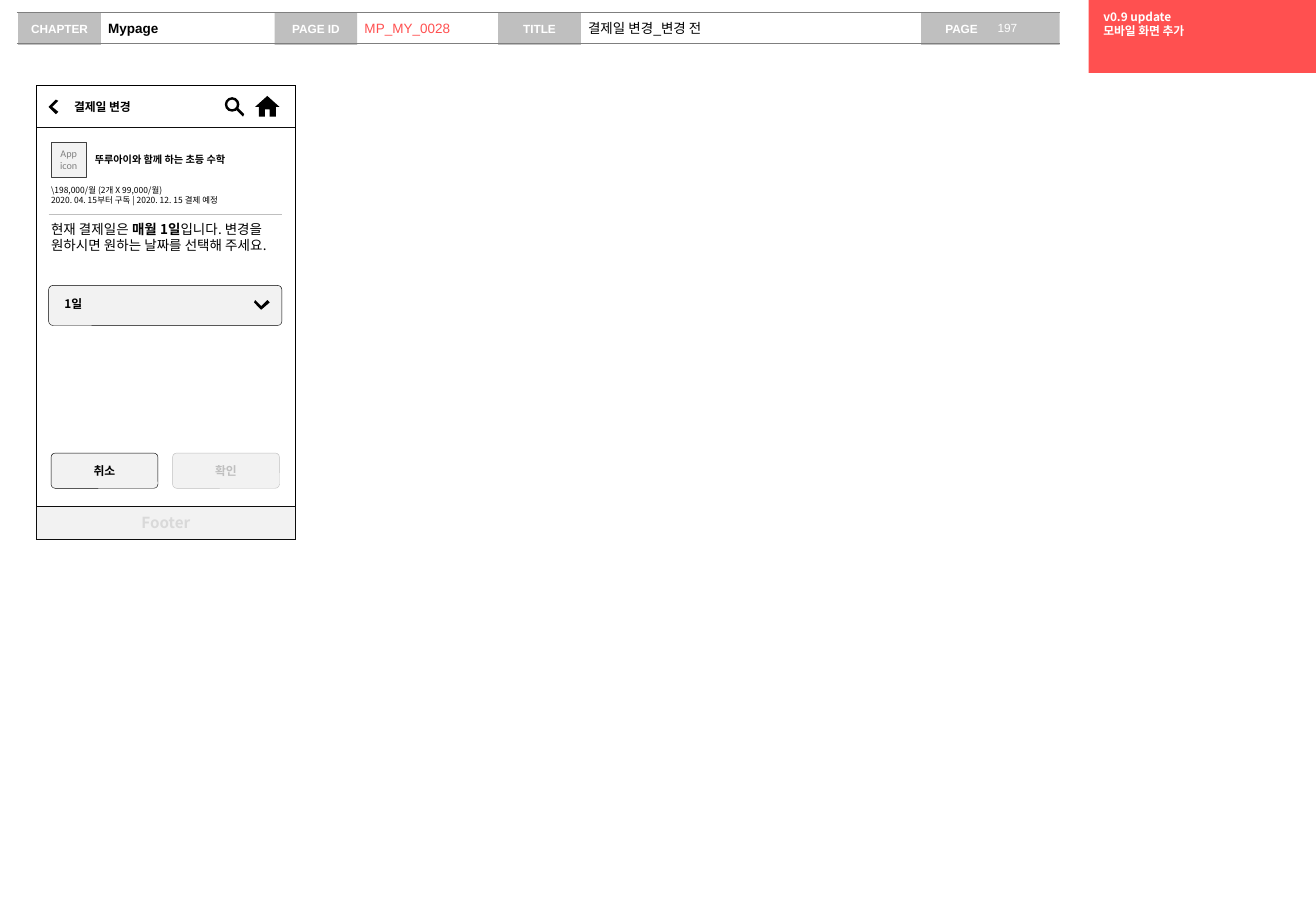
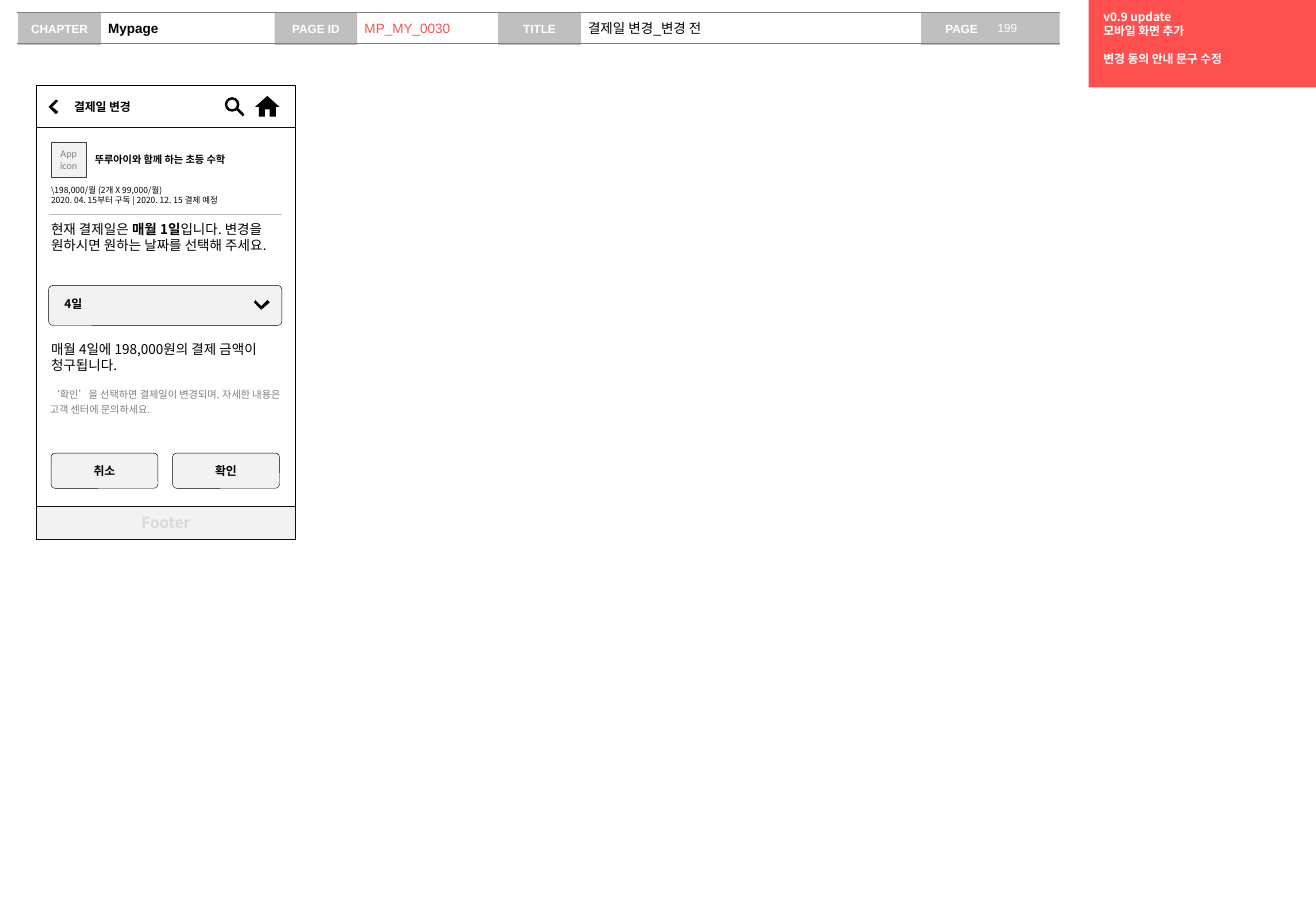
from lxml.etree import SubElement
from pptx import Presentation
from pptx.dml.color import RGBColor
from pptx.enum.shapes import MSO_CONNECTOR, MSO_SHAPE as Preset
from pptx.enum.text import MSO_ANCHOR as Anchor, PP_ALIGN as Align
from pptx.oxml.ns import qn
from pptx.util import Inches, Pt

BLACK = RGBColor(0x00, 0x00, 0x00)
WHITE = RGBColor(0xFF, 0xFF, 0xFF)
RED = RGBColor(0xFF, 0x50, 0x50)
INK = RGBColor(0x0D, 0x0D, 0x0D)
CHARCOAL = RGBColor(0x40, 0x40, 0x40)
GRAY = RGBColor(0x80, 0x80, 0x80)
RULE_GRAY = RGBColor(0x7F, 0x7F, 0x7F)
SILVER = RGBColor(0xBF, 0xBF, 0xBF)
FOOTER_GRAY = RGBColor(0xD9, 0xD9, 0xD9)
PALE = RGBColor(0xF2, 0xF2, 0xF2)

KOREAN_FONT = "Noto Sans CJK KR"
LATIN_FONT = "Arial"

# Lengths in inches
BAR_TOP, BAR_HEIGHT = 0.1, 0.27
LABEL_WIDTH = 0.68
BAR_LABELS = [("CHAPTER", 0.15), ("PAGE ID", 2.26), ("TITLE", 4.1)]
PHONE_LEFT, PHONE_TOP, PHONE_WIDTH, PHONE_HEIGHT = 0.3, 0.7, 2.13, 3.74
TEXT_LEFT, TEXT_WIDTH = 0.42, 1.88
FIELD_LEFT, FIELD_WIDTH = 0.4, 1.92
BUTTON_TOP, BUTTON_WIDTH, BUTTON_HEIGHT, BUTTON_STEP = 3.73, 0.88, 0.29, 1.0

BACK_ARROW = [(0.48, 0.83), (0.46, 0.82), (0.4, 0.88), (0.46, 0.94), (0.48, 0.92), (0.43, 0.88)]
HOME = [(2.18, 0.96), (2.18, 0.9), (2.22, 0.9), (2.22, 0.96), (2.27, 0.96), (2.27, 0.88),
        (2.3, 0.88), (2.2, 0.79), (2.1, 0.88), (2.13, 0.88), (2.13, 0.96)]
SEARCH_HANDLE = [(1.94, 0.9), (1.95, 0.91), (2.0, 0.96), (2.01, 0.94), (1.97, 0.9), (1.96, 0.89)]
DROPDOWN_ARROW = [(2.1, 2.47), (2.09, 2.49), (2.15, 2.55), (2.22, 2.49), (2.2, 2.47), (2.15, 2.52)]
ICONS = [BACK_ARROW, HOME, SEARCH_HANDLE, DROPDOWN_ARROW]

CHAPTER = "Mypage"
TITLE = "결제일 변경_변경 전"
SCREEN_NAME = "결제일 변경"
APP_NAME = "뚜루아이와 함께 하는 초등 수학"
SUBSCRIPTION = ["\\198,000/월 (2개 X 99,000/월)",
                "2020. 04. 15부터 구독 | 2020. 12. 15 결제 예정"]
GUIDE = [("현재 결제일은 ", False), ("매월 1일", True),
         ("입니다. 변경을 원하시면 원하는 날짜를 선택해 주세요.", False)]
UPDATE = ["v0.9 update", "모바일 화면 추가"]

SCREENS = [
    {"page_id": "MP_MY_0028", "page": "197", "day": "1일", "update_height": 0.6,
     "extra_update": None, "charge": None, "notice": None, "confirm_color": SILVER},
    {"page_id": "MP_MY_0030", "page": "199", "day": "4일", "update_height": 0.72,
     "extra_update": "변경 동의 안내 문구 수정",
     "charge": "매월 4일에 198,000원의 결제 금액이 청구됩니다.",
     "notice": "‘확인’을 선택하면 결제일이 변경되며, 자세한 내용은 고객 센터에 문의하세요.",
     "confirm_color": BLACK},
]


def write(shape, paragraphs, size=7, font=KOREAN_FONT, color=BLACK, bold=False,
          align=Align.LEFT, anchor=Anchor.TOP, insets=(0, 0, 0, 0), wrap=True, spacing=None):
    """Fill a shape with paragraphs, each a string or a list of (text, bold) runs."""
    frame = shape.text_frame
    frame.word_wrap, frame.vertical_anchor = wrap, anchor
    (frame.margin_left, frame.margin_top,
     frame.margin_right, frame.margin_bottom) = map(Inches, insets)
    for index, content in enumerate(paragraphs):
        paragraph = frame.add_paragraph() if index else frame.paragraphs[0]
        paragraph.alignment = align
        if spacing:
            paragraph.line_spacing = spacing
        runs = [(content, bold)] if isinstance(content, str) else content
        for text, run_bold in runs:
            run = paragraph.add_run()
            run.text = text
            run.font.size, run.font.name, run.font.bold = Pt(size), font, run_bold
            run.font.color.rgb = color
            SubElement(run.font._element, qn("a:ea"), typeface=KOREAN_FONT)
    return frame


def paint(shape, fill, line=None):
    shape.shadow.inherit = False
    if fill is None:
        shape.fill.background()
    else:
        shape.fill.solid()
        shape.fill.fore_color.rgb = fill
    if line is None:
        shape.line.fill.background()
    else:
        shape.line.color.rgb = line
        shape.line.width = Pt(0.25)
    return shape


def add_box(slide, box, fill, line=None, preset=Preset.RECTANGLE, adjustment=None):
    shape = slide.shapes.add_shape(preset, *map(Inches, box))
    if adjustment is not None:
        shape.adjustments[0] = adjustment
    return paint(shape, fill, line)


def add_label(slide, box, paragraphs, **text_format):
    return write(slide.shapes.add_textbox(*map(Inches, box)), paragraphs, **text_format)


def add_rule(slide, left, right, top, color, width):
    rule = slide.shapes.add_connector(
        MSO_CONNECTOR.STRAIGHT, *map(Inches, (left, top, right, top)))
    rule.line.color.rgb, rule.line.width = color, Pt(width)
    SubElement(rule._element.spPr, qn("a:effectLst"))


def add_icon(slide, points):
    points = [(Inches(x), Inches(y)) for x, y in points]
    builder = slide.shapes.build_freeform(*points[0], scale=1.0)
    builder.add_line_segments(points[1:], close=True)
    paint(builder.convert_to_shape(), BLACK)


def add_title_bar(slide, screen):
    label_format = dict(font=LATIN_FONT, color=WHITE, bold=True, anchor=Anchor.MIDDLE, wrap=False)
    page_box = add_box(slide, (7.58, BAR_TOP, 1.14, BAR_HEIGHT), SILVER)
    write(page_box, ["PAGE"], insets=(0.2, 0.05, 0.1, 0.05), **label_format)
    add_label(slide, (8.17, 0.12, 0.55, 0.22), [screen["page"]], font=LATIN_FONT,
              color=WHITE, insets=(0.04, 0.05, 0, 0.05))
    for text, left in BAR_LABELS:
        box = add_box(slide, (left, BAR_TOP, LABEL_WIDTH, BAR_HEIGHT), SILVER)
        write(box, [text], align=Align.CENTER, insets=(0.1, 0.05, 0.1, 0.05), **label_format)
    for top in (BAR_TOP, 0.36):
        add_rule(slide, 0.14, 8.72, top, RULE_GRAY, 0.75)
    values = [(CHAPTER, 1.43, BLACK, True), (screen["page_id"], 1.16, RED, False),
              (TITLE, 2.8, BLACK, False)]
    for (_, left), (text, width, color, bold) in zip(BAR_LABELS, values):
        add_label(slide, (left + LABEL_WIDTH, 0.11, width, 0.24), [text], size=8, font=LATIN_FONT,
                  color=color, bold=bold, anchor=Anchor.MIDDLE, insets=(0.06, 0.05, 0, 0.05))


def add_update_note(slide, screen):
    extra = screen["extra_update"]
    note = add_box(slide, (8.96, 0, 1.87, screen["update_height"]), RED)
    frame = write(note, UPDATE + ([extra] if extra else []), color=WHITE, bold=True,
                  insets=(0.12, 0.08, 0.1, 0.05))
    if extra:
        frame.paragraphs[-1].space_before = Pt(8.25)


def add_phone(slide, screen):
    header = add_box(slide, (PHONE_LEFT, PHONE_TOP, PHONE_WIDTH, 0.35), WHITE, INK)
    write(header, [SCREEN_NAME], bold=True, anchor=Anchor.MIDDLE, insets=(0.31, 0.05, 0.1, 0.05))

    app_icon = add_box(slide, (TEXT_LEFT, 1.17, 0.29, 0.29), PALE, CHARCOAL)
    write(app_icon, ["App", "icon"], size=6, font="Calibri", color=GRAY,
          align=Align.CENTER, anchor=Anchor.MIDDLE, wrap=False)
    add_label(slide, (0.78, 1.26, 1.52, 0.1), [APP_NAME], size=6, font=LATIN_FONT, bold=True)
    add_label(slide, (TEXT_LEFT, 1.52, TEXT_WIDTH, 0.17), SUBSCRIPTION, size=5)
    add_rule(slide, FIELD_LEFT, FIELD_LEFT + FIELD_WIDTH, 1.76, SILVER, 0.25)
    add_label(slide, (TEXT_LEFT, 1.82, TEXT_WIDTH, 0.4), [GUIDE], size=8)

    day_field = add_box(slide, (FIELD_LEFT, 2.35, FIELD_WIDTH, 0.33), PALE, BLACK,
                        Preset.ROUNDED_RECTANGLE, 0.11)
    write(day_field, [screen["day"]], bold=True, anchor=Anchor.MIDDLE, insets=(0.12, 0, 0.1, 0.02))
    if screen["charge"]:
        add_label(slide, (TEXT_LEFT, 2.81, TEXT_WIDTH, 0.27), [screen["charge"]], size=8)
    if screen["notice"]:
        add_label(slide, (0.41, 3.18, 1.9, 0.24), [screen["notice"]], size=6,
                  font=LATIN_FONT, color=GRAY, spacing=1.2)

    buttons = [("취소", BLACK), ("확인", screen["confirm_color"])]
    for index, (text, color) in enumerate(buttons):
        left = TEXT_LEFT + index * BUTTON_STEP
        button = add_box(slide, (left, BUTTON_TOP, BUTTON_WIDTH, BUTTON_HEIGHT), PALE, color,
                         Preset.ROUNDED_RECTANGLE, 0.12)
        write(button, [text], color=color, bold=True, align=Align.CENTER, anchor=Anchor.MIDDLE)

    add_box(slide, (1.85, 0.8, 0.12, 0.12), BLACK, preset=Preset.DONUT, adjustment=0.17)
    for points in ICONS:
        add_icon(slide, points)

    add_box(slide, (PHONE_LEFT, PHONE_TOP, PHONE_WIDTH, PHONE_HEIGHT), None, BLACK)
    footer = add_box(slide, (PHONE_LEFT, 4.17, PHONE_WIDTH, 0.27), PALE, INK)
    write(footer, ["Footer"], size=9, color=FOOTER_GRAY, bold=True,
          align=Align.CENTER, anchor=Anchor.MIDDLE)


def main():
    presentation = Presentation()
    presentation.slide_width, presentation.slide_height = Inches(10.83), Inches(7.5)
    for screen in SCREENS:
        slide = presentation.slides.add_slide(presentation.slide_layouts[6])
        add_title_bar(slide, screen)
        add_update_note(slide, screen)
        add_phone(slide, screen)
    presentation.save("out.pptx")


if __name__ == "__main__":
    main()
